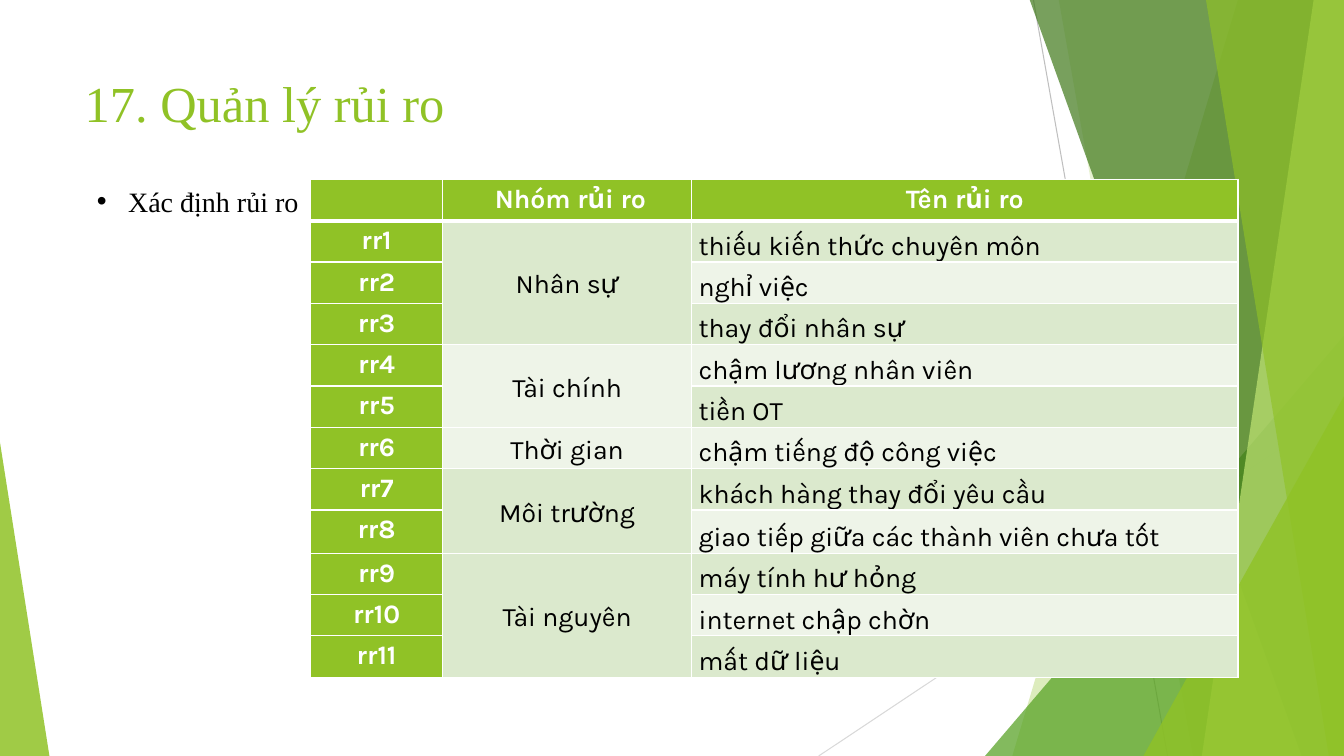
from lxml import etree
from pptx import Presentation
from pptx.dml.color import RGBColor
from pptx.enum.shapes import MSO_CONNECTOR as Connector, MSO_SHAPE as Shape
from pptx.enum.text import MSO_ANCHOR as Anchor, MSO_AUTO_SIZE as AutoSize, PP_ALIGN as Align
from pptx.oxml.ns import qn
from pptx.util import Inches, Pt

GREEN = RGBColor(0x90, 0xC2, 0x26)
MID_GREEN = RGBColor(0x54, 0xA0, 0x21)
DARK_GREEN = RGBColor(0x3F, 0x78, 0x19)
LIME = RGBColor(0xC0, 0xE4, 0x74)
BAND_DARK = RGBColor(0xDB, 0xE9, 0xCD)
BAND_LIGHT = RGBColor(0xEE, 0xF4, 0xE8)
GRAY = RGBColor(0xBF, 0xBF, 0xBF)
LIGHT_GRAY = RGBColor(0xD9, 0xD9, 0xD9)
WHITE = RGBColor(0xFF, 0xFF, 0xFF)
BLACK = RGBColor(0, 0, 0)

WIDTH, HEIGHT, TOP = 13.33, 7.5, -0.01

LINES = [((10.25, 0), (11.58, HEIGHT), GRAY), ((WIDTH, 4.03), (8.12, HEIGHT), LIGHT_GRAY)]
# Bands reach the right edge: left end at the top, left end at the bottom, colour, opacity
BACK_BANDS = [(12.28, 10.04, GREEN, 30), (10.5, 11.83, GREEN, 20)]
FRONT_BANDS = [(10.21, 12.91, DARK_GREEN, 70), (13.03, 11.92, LIME, 70), (11.96, 13.18, GREEN, 65)]
# Triangles stand on the bottom edge: left, top, width, apex position, colour, opacity
BACK_TRIANGLE = (9.77, 3.33, 3.56, 1, MID_GREEN, 72)
FRONT_TRIANGLES = [(11.34, 3.93, 1.99, 1, GREEN, 80), (0, 4.39, 0.49, 0, GREEN, 85)]

HEADINGS = ["", " Nhóm rủi ro", "Tên rủi ro"]
RISK_GROUPS = [
    ("Nhân sự", BAND_DARK, ["thiếu kiến thức chuyên môn", "nghỉ việc", "thay đổi nhân sự"]),
    ("Tài chính", BAND_LIGHT, ["chậm lương nhân viên", "tiền OT"]),
    ("Thời gian", BAND_LIGHT, ["chậm tiếng độ công việc"]),
    ("Môi trường", BAND_DARK, ["khách hàng thay đổi yêu cầu",
                               "giao tiếp giữa các thành viên chưa tốt"]),
    ("Tài nguyên", BAND_DARK, ["máy tính hư hỏng", "internet chập chờn", "mất dữ liệu"]),
]
COLUMN_WIDTHS = [1.31, 2.47, 5.42]
ROW_HEIGHT, TALL_ROW, TALL_HEIGHT = 0.41, 8, 0.43


def apply_format(target, values):
    for name, value in values.items():
        setattr(target, name, value)


def format_font(font, color, **values):
    apply_format(font, values)
    font.color.rgb = color


def paint(shape, color, opacity):
    shape.shadow.inherit = False
    shape.line.fill.background()
    shape.fill.solid()
    shape.fill.fore_color.rgb = color
    tint = shape.fill._xPr.find(qn("a:solidFill"))[0]
    etree.SubElement(tint, qn("a:alpha"), val=str(opacity * 1000))


def add_line(page, start, end, color):
    ends = [Inches(value) for value in (*start, *end)]
    line = page.shapes.add_connector(Connector.STRAIGHT, *ends)
    line.line.color.rgb = color
    line.line.width = Pt(0.75)
    etree.SubElement(line._element.spPr, qn("a:effectLst"))


def add_band(page, top_left, bottom_left, color, opacity):
    corners = [(WIDTH, TOP), (WIDTH, HEIGHT), (bottom_left, HEIGHT)]
    outline = page.shapes.build_freeform(Inches(top_left), Inches(TOP))
    outline.add_line_segments([(Inches(x), Inches(y)) for x, y in corners], close=True)
    paint(outline.convert_to_shape(), color, opacity)


def add_triangle(page, left, top, width, apex, color, opacity):
    triangle = page.shapes.add_shape(Shape.ISOSCELES_TRIANGLE, Inches(left), Inches(top),
                                     Inches(width), Inches(HEIGHT - top))
    triangle.adjustments[0] = apex
    paint(triangle, color, opacity)


def add_decoration(page):
    for line in LINES:
        add_line(page, *line)
    for band in BACK_BANDS:
        add_band(page, *band)
    add_triangle(page, *BACK_TRIANGLE)
    for band in FRONT_BANDS:
        add_band(page, *band)
    for triangle in FRONT_TRIANGLES:
        add_triangle(page, *triangle)


def fill_placeholder(box, text, place, size, color, wrap, bullet=False):
    # Bring the text in front of the decoration
    box.element.getparent().append(box.element)
    left, top, width, height = [Inches(value) for value in place]
    apply_format(box, {"left": left, "top": top, "width": width, "height": height})
    frame = box.text_frame
    frame.text = text
    apply_format(frame, {"word_wrap": wrap, "vertical_anchor": Anchor.TOP,
                         "auto_size": AutoSize.SHAPE_TO_FIT_TEXT if bullet else AutoSize.NONE})
    para = frame.paragraphs[0]
    apply_format(para, {"alignment": Align.LEFT, "space_before": Pt(0)})
    if bullet:
        props = para._p.get_or_add_pPr()
        props.set("marL", str(Inches(0.31)))
        props.set("indent", str(-Inches(0.31)))
        etree.SubElement(props, qn("a:buFont"), typeface="Arial")
        etree.SubElement(props, qn("a:buChar"), char="•")
    format_font(para.runs[0].font, color, size=Pt(size), name="Times New Roman")


def set_borders(cell, bottom):
    props = cell._tc.get_or_add_tcPr()
    for side, width in (("L", 1), ("R", 1), ("T", 1), ("B", bottom)):
        border = etree.SubElement(props, qn(f"a:ln{side}"), w=str(Pt(width)))
        fill = etree.SubElement(border, qn("a:solidFill"))
        etree.SubElement(fill, qn("a:srgbClr"), val=str(WHITE))


def fill_cell(cell, text, fill, color=BLACK, align=Align.CENTER, anchor=Anchor.TOP, bottom=1):
    set_borders(cell, bottom)
    cell.fill.solid()
    cell.fill.fore_color.rgb = fill
    apply_format(cell, {"margin_left": Inches(0.07), "margin_right": Inches(0.07),
                        "margin_top": 0, "margin_bottom": 0, "vertical_anchor": anchor})
    cell.text = text
    para = cell.text_frame.paragraphs[0]
    apply_format(para, {"alignment": align, "line_spacing": 1.15, "space_after": Pt(8)})
    format_font(para.font, color, size=Pt(19), name="Karla", bold=color == WHITE)
    for span in para.runs:
        format_font(span.font, color, size=Pt(19), name="Karla", bold=color == WHITE)


def add_risk_table(page):
    row_count = 1 + sum(len(risks) for _, _, risks in RISK_GROUPS)
    table = page.shapes.add_table(row_count, len(COLUMN_WIDTHS), Inches(3.08), Inches(1.78),
                                  Inches(sum(COLUMN_WIDTHS)), Inches(4.89)).table
    for column, width in zip(table.columns, COLUMN_WIDTHS):
        column.width = Inches(width)
    for row in table.rows:
        row.height = Inches(ROW_HEIGHT)
    table.rows[TALL_ROW].height = Inches(TALL_HEIGHT)

    # Heading row
    for index, heading in enumerate(HEADINGS):
        fill_cell(table.cell(0, index), heading, GREEN, WHITE, bottom=3)

    # One merged group cell beside its risks
    number = 1
    for group, group_fill, risks in RISK_GROUPS:
        first = table.cell(number, 1)
        if len(risks) > 1:
            first.merge(table.cell(number + len(risks) - 1, 1))
        fill_cell(first, group, group_fill, anchor=Anchor.MIDDLE)
        for risk in risks:
            band = BAND_DARK if number % 2 else BAND_LIGHT
            fill_cell(table.cell(number, 0), f"rr{number}", GREEN, WHITE)
            fill_cell(table.cell(number, 2), risk, band, align=Align.LEFT, anchor=Anchor.BOTTOM)
            number += 1


def main():
    deck = Presentation()
    deck.slide_width, deck.slide_height = Inches(WIDTH), Inches(HEIGHT)
    page = deck.slides.add_slide(deck.slide_layouts[1])
    add_decoration(page)
    fill_placeholder(page.shapes.title, "17. Quản lý rủi ro", (0.74, 0.67, 4.03, 1.44),
                     36, GREEN, wrap=True)
    fill_placeholder(page.placeholders[1], "Xác định rủi ro", (0.86, 1.78, 2.22, 0.44),
                     20, BLACK, wrap=False, bullet=True)
    add_risk_table(page)
    deck.save("out.pptx")


if __name__ == "__main__":
    main()
